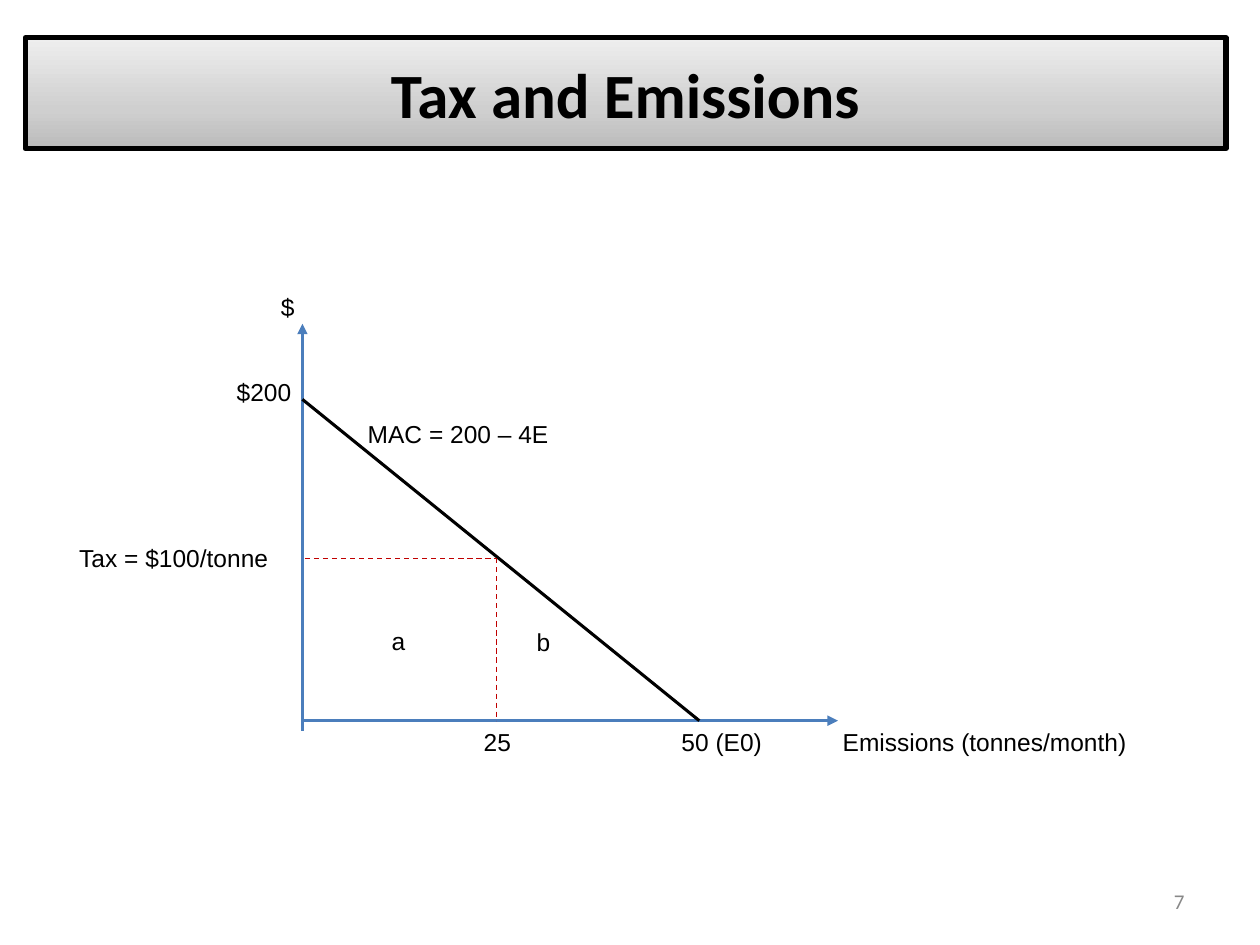
from copy import deepcopy

from lxml import etree
from pptx import Presentation
from pptx.dml.color import RGBColor
from pptx.enum.dml import MSO_LINE
from pptx.enum.shapes import MSO_CONNECTOR, MSO_SHAPE
from pptx.enum.text import MSO_ANCHOR, MSO_AUTO_SIZE, PP_ALIGN
from pptx.oxml.ns import qn
from pptx.util import Inches, Pt

RECT, STRAIGHT, DASH = MSO_SHAPE.RECTANGLE, MSO_CONNECTOR.STRAIGHT, MSO_LINE.DASH
MIDDLE, FIT = MSO_ANCHOR.MIDDLE, MSO_AUTO_SIZE.SHAPE_TO_FIT_TEXT
LEFT, CENTER, RIGHT = PP_ALIGN.LEFT, PP_ALIGN.CENTER, PP_ALIGN.RIGHT

COLORS = {"text": "000000", "axis": "4B7EBC", "curve": "000000",
          "guide": "C00000", "number": "888888"}
TITLE = "Tax and Emissions"
TITLE_STOPS = [(0, "BBBBBB"), (0.35, "CFCFCF"), (1, "EEEEEE")]
PAGE_NUMBER = "7"

X0, Y0 = 2.4, 5.72
X_TAX, Y_TAX = 3.94, 4.43
LINES = [
    ((X0, 5.8), (X0, 2.57), "axis"),
    ((X0, Y0), (6.65, Y0), "axis"),
    ((X0, 3.17), (5.55, Y0), "curve"),
    ((2.42, Y_TAX), (X_TAX, Y_TAX), "guide"),
    ((X_TAX, Y_TAX), (X_TAX, Y0), "guide"),
]
LABELS = [
    ("Tax = $100/tonne", 0.53, 4.26, 1.89),
    ("Emissions (tonnes/month)", 6.59, Y0, 3.13),
    ("50 (E0)", 5.31, Y0, 1.89),
    ("MAC = 200 – 4E", 2.82, 3.28, 1.89),
    ("25", 3.74, Y0, 1.89),
    ("$200", 1.78, 2.94, 1.89),
]
LETTERS = [("$", 2.13, 2.27), ("a", 3.01, 4.92), ("b", 4.16, 4.93)]


def rgb(name):
    return RGBColor.from_string(COLORS[name])


def write(sp, text, size, font, color="text", align=LEFT, bold=False):
    tf = sp.text_frame
    tf.text = text
    p = tf.paragraphs[0]
    p.alignment = align
    f = p.runs[0].font
    f.size, f.name, f.bold = Pt(size), font, bold
    f.color.rgb = rgb(color)
    return tf


def add_title(s):
    sp = s.shapes.add_shape(RECT, Inches(0.2), Inches(0.3), Inches(9.53), Inches(0.88))
    sp.shadow.inherit = False
    sp.line.color.rgb = rgb("text")
    sp.line.width = Pt(3)
    sp.fill.gradient()
    sp.fill.gradient_angle = 90
    stops = sp._element.spPr.find(qn("a:gradFill")).find(qn("a:gsLst"))
    stops.insert(1, deepcopy(stops[0]))
    for stop, (position, color) in zip(sp.fill.gradient_stops, TITLE_STOPS):
        stop.position = position
        stop.color.rgb = RGBColor.from_string(color)
    tf = write(sp, TITLE, 36, "Calibri", align=CENTER, bold=True)
    tf.word_wrap = True
    tf.vertical_anchor = MIDDLE


def add_line(s, start, end, kind):
    points = [Inches(v) for v in start + end]
    line = s.shapes.add_connector(STRAIGHT, *points)
    line.line.color.rgb = rgb(kind)
    line.line.width = Pt(0.75 if kind == "guide" else 1.75)
    if kind == "guide":
        line.line.dash_style = DASH
    if kind == "axis":
        etree.SubElement(line.line._get_or_add_ln(), qn("a:tailEnd"), type="triangle")
    etree.SubElement(line._element.spPr, qn("a:effectLst"))


def add_label(s, text, x, y, w, wrap=True):
    sp = s.shapes.add_textbox(Inches(x), Inches(y), Inches(w), Inches(0.34))
    tf = write(sp, text, 14, "Arial")
    tf.word_wrap = wrap
    tf.auto_size = FIT


def add_page_number(s):
    sp = s.shapes.add_textbox(Inches(7.17), Inches(6.95), Inches(2.33), Inches(0.4))
    tf = write(sp, PAGE_NUMBER, 12, "Calibri", "number", RIGHT)
    tf.word_wrap = True
    tf.vertical_anchor = MIDDLE


def main():
    prs = Presentation()
    prs.slide_width, prs.slide_height = Inches(10), Inches(7.5)
    s = prs.slides.add_slide(prs.slide_layouts[6])
    add_title(s)
    add_page_number(s)
    for start, end, kind in LINES:
        add_line(s, start, end, kind)
    for text, x, y, w in LABELS:
        add_label(s, text, x, y, w)
    for text, x, y in LETTERS:
        add_label(s, text, x, y, 0.31, wrap=False)
    prs.save("out.pptx")


if __name__ == "__main__":
    main()
